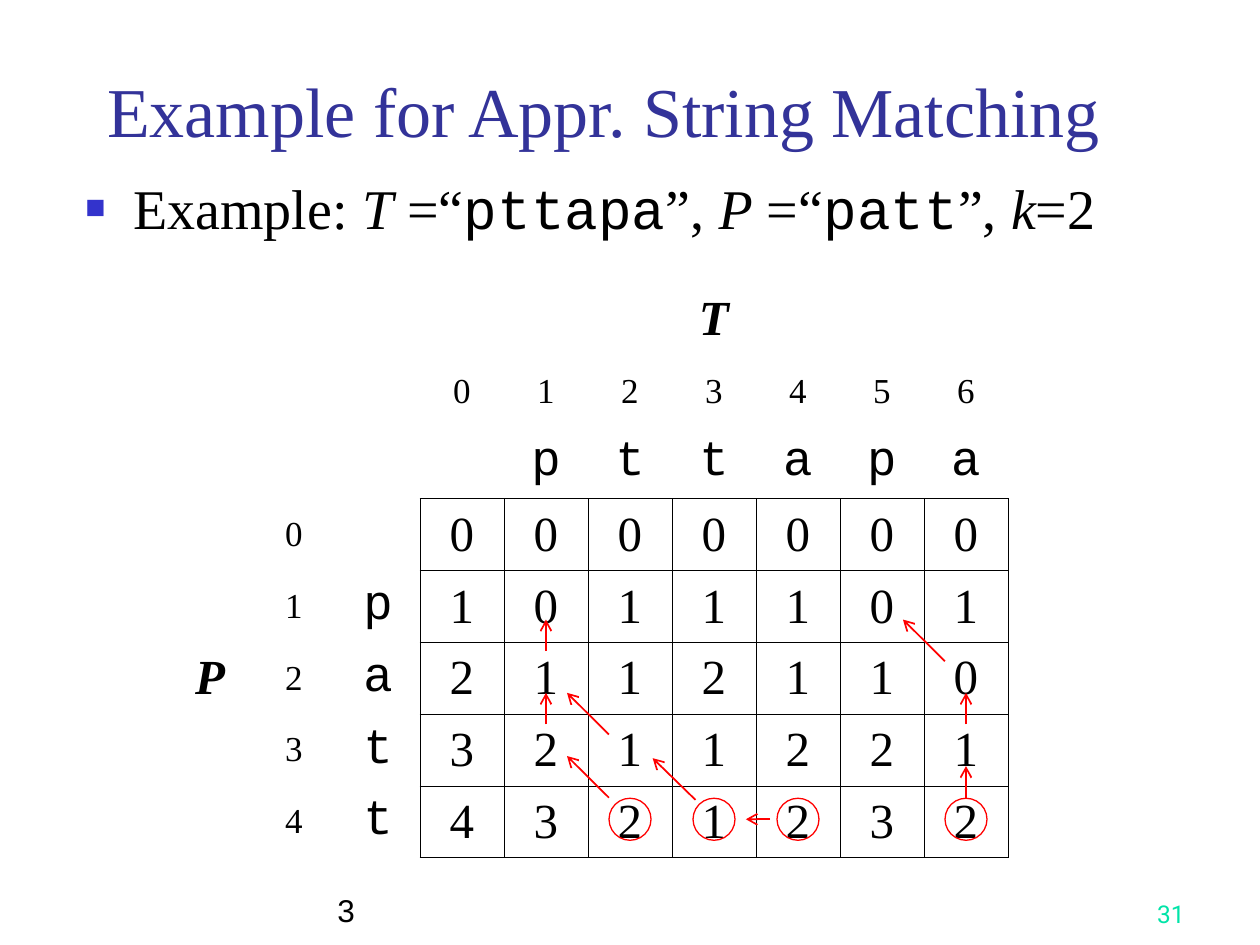
import pptx
import pptx.util
import pptx.dml.color
import pptx.enum.shapes
import pptx.enum.text
import pptx.oxml
import pptx.oxml.ns

COLORS = {"title": "333399", "text": "000000", "bullet": "3333CC", "mark": "FF0000", "number": "00E4A8"}
SERIF, MONO = "Times New Roman", "Courier New"
WIDTH, HEIGHT = 10, 7.5
COLUMN, ROW = WIDTH / 15, 0.57
LABEL_COLUMNS, LABEL_ROWS = 3, 3
TEXT, PATTERN = "pttapa", "patt"
DISTANCES = ["0000000", "1011101", "2112110", "3211221", "4321232"]
RING_COLUMNS = [5.5, 6.5, 7.5, 9.5]
RING_ROW = 7.46
ARROWS = [
    (9.5, 7.16, 9.5, 6.72), (9.5, 6.14, 9.5, 5.7), (9.25, 5.26, 8.75, 4.68),
    (7.17, RING_ROW, 6.88, RING_ROW), (6.28, 7.19, 5.77, 6.61),
    (5.25, 7.16, 4.75, 6.58), (5.25, 6.28, 4.75, 5.7),
    (4.5, 6.14, 4.5, 5.7), (4.5, 5.12, 4.5, 4.68),
]
ALIGN = pptx.enum.text.PP_ALIGN
ANCHOR = pptx.enum.text.MSO_ANCHOR


def inches(*lengths):
    return [pptx.util.Inches(length) for length in lengths]


def rgb(name):
    return pptx.dml.color.RGBColor.from_string(COLORS[name])


def element(parent, tag, **attributes):
    child = pptx.oxml.ns.qn(tag)
    child = parent.makeelement(child, attributes)
    parent.append(child)
    return child


def style(font, size, name=SERIF, color="text", strong=False):
    font.size = pptx.util.Pt(size)
    font.name = name
    font.color.rgb = rgb(color)
    font.bold = font.italic = strong


def add_text_box(page, box, anchor=ANCHOR.BOTTOM, align=ALIGN.LEFT):
    frame = page.shapes.add_textbox(*inches(*box)).text_frame
    frame.word_wrap = True
    frame.vertical_anchor = anchor
    para = frame.paragraphs[0]
    para.alignment = align
    return para


def add_line_of_text(page, box, text, size, name, color, align=ALIGN.LEFT):
    para = add_text_box(page, box, align=align)
    para.text = text
    style(para.font, size, name, color)


def add_example(page, box):
    para = add_text_box(page, box, ANCHOR.TOP)
    properties = para._p.get_or_add_pPr()
    indent = pptx.util.Inches(0.38)
    properties.set("marL", str(indent))
    properties.set("indent", str(-indent))
    bullet_color = element(properties, "a:buClr")
    element(bullet_color, "a:srgbClr", val=COLORS["bullet"])
    element(properties, "a:buSzPct", val="60000")
    element(properties, "a:buFont", typeface="Arial")
    element(properties, "a:buChar", char="■")
    style(para.font, 32)
    pieces = [
        ("Example: ", ""), ("T", "italic"), (" =“", ""), (TEXT, "mono"), ("”, ", ""),
        ("P", "italic"), (" =“", ""), (PATTERN, "mono"), ("”, ", ""), ("k", "italic"), ("=2", ""),
    ]
    for text, look in pieces:
        span = para.add_run()
        span.text = text
        style(span.font, 32, MONO if look == "mono" else SERIF)
        span.font.italic = look == "italic"


def set_borders(cell, sides):
    properties = cell._tc.get_or_add_tcPr()
    for position, side in enumerate("LRTB"):
        line = properties.makeelement(pptx.oxml.ns.qn("a:ln" + side), {"w": str(pptx.util.Pt(0.45))})
        properties.insert(position, line)
        if side in sides:
            element(element(line, "a:solidFill"), "a:srgbClr", val=COLORS["text"])
        else:
            element(line, "a:noFill")


def fill_cell(cell, text, size=28, name=SERIF, strong=False):
    cell.vertical_anchor = ANCHOR.MIDDLE
    para = cell.text_frame.paragraphs[0]
    para.text = text
    para.alignment = ALIGN.CENTER
    style(para.font, size, name, strong=strong)


def add_distance_table(page, left, top):
    columns, rows = LABEL_COLUMNS + len(TEXT) + 1, LABEL_ROWS + len(PATTERN) + 1
    box = inches(left, top, columns * COLUMN, rows * ROW)
    table = page.shapes.add_table(rows, columns, *box).table
    table.first_row = table.horz_banding = False
    for row in range(rows):
        for column in range(columns):
            cell = table.cell(row, column)
            cell.fill.background()
            sides = ""
            if row >= LABEL_ROWS and column >= LABEL_COLUMNS:
                sides = "LRTB"
            elif row == LABEL_ROWS - 1 and column >= LABEL_COLUMNS:
                sides = "B"
            elif row >= LABEL_ROWS and column == LABEL_COLUMNS - 1:
                sides = "R"
            set_borders(cell, sides)

    table.cell(0, LABEL_COLUMNS).merge(table.cell(0, columns - 1))
    table.cell(LABEL_ROWS, 0).merge(table.cell(rows - 1, 0))
    fill_cell(table.cell(0, LABEL_COLUMNS), "T", strong=True)
    fill_cell(table.cell(LABEL_ROWS, 0), "P", strong=True)
    for index in range(len(TEXT) + 1):
        fill_cell(table.cell(1, LABEL_COLUMNS + index), str(index), size=20)
    for index in range(len(PATTERN) + 1):
        fill_cell(table.cell(LABEL_ROWS + index, 1), str(index), size=20)
    for index, letter in enumerate(TEXT, 1):
        fill_cell(table.cell(2, LABEL_COLUMNS + index), letter, name=MONO)
    for index, letter in enumerate(PATTERN, 1):
        fill_cell(table.cell(LABEL_ROWS + index, 2), letter, name=MONO)
    for row, values in enumerate(DISTANCES, LABEL_ROWS):
        for column, value in enumerate(values, LABEL_COLUMNS):
            fill_cell(table.cell(row, column), value)


def add_trace(page, left, top):
    def place(column, row):
        return left + column * COLUMN, top + row * ROW

    size = COLUMN / 2
    for column in RING_COLUMNS:
        x, y = place(column, RING_ROW)
        ring = page.shapes.add_shape(
            pptx.enum.shapes.MSO_SHAPE.OVAL, *inches(x - size / 2, y - size / 2, size, size))
        ring.shadow.inherit = False
        ring.fill.background()
        ring.line.color.rgb = rgb("mark")
        ring.line.width = pptx.util.Pt(0.75)
    for start_column, start_row, end_column, end_row in ARROWS:
        ends = place(start_column, start_row) + place(end_column, end_row)
        arrow = page.shapes.add_connector(pptx.enum.shapes.MSO_CONNECTOR.STRAIGHT, *inches(*ends))
        arrow.line.color.rgb = rgb("mark")
        arrow.line.width = pptx.util.Pt(1)
        element(arrow.line._get_or_add_ln(), "a:tailEnd", type="arrow")
        element(arrow._element.spPr, "a:effectLst")


def main():
    deck = pptx.Presentation()
    deck.slide_width, deck.slide_height = inches(WIDTH, HEIGHT)
    page = deck.slides.add_slide(deck.slide_layouts[6])
    add_example(page, (0.58, 1.33, 8.83, 0.8))
    add_line_of_text(page, (0.5, 0.42, 8.58, 0.83), "Example for Appr. String Matching",
                     40, SERIF, "title", ALIGN.CENTER)
    table_corner = (2 * COLUMN, 0.3 * HEIGHT)
    add_distance_table(page, *table_corner)
    add_trace(page, *table_corner)
    add_line_of_text(page, (2.58, 6.92, 5.33, 0.5), "3", 18, "Arial", "text")
    add_line_of_text(page, (7.42, 6.92, 2.08, 0.5), "31", 14, "Roboto", "number", ALIGN.RIGHT)
    deck.save("out.pptx")


if __name__ == "__main__":
    main()
